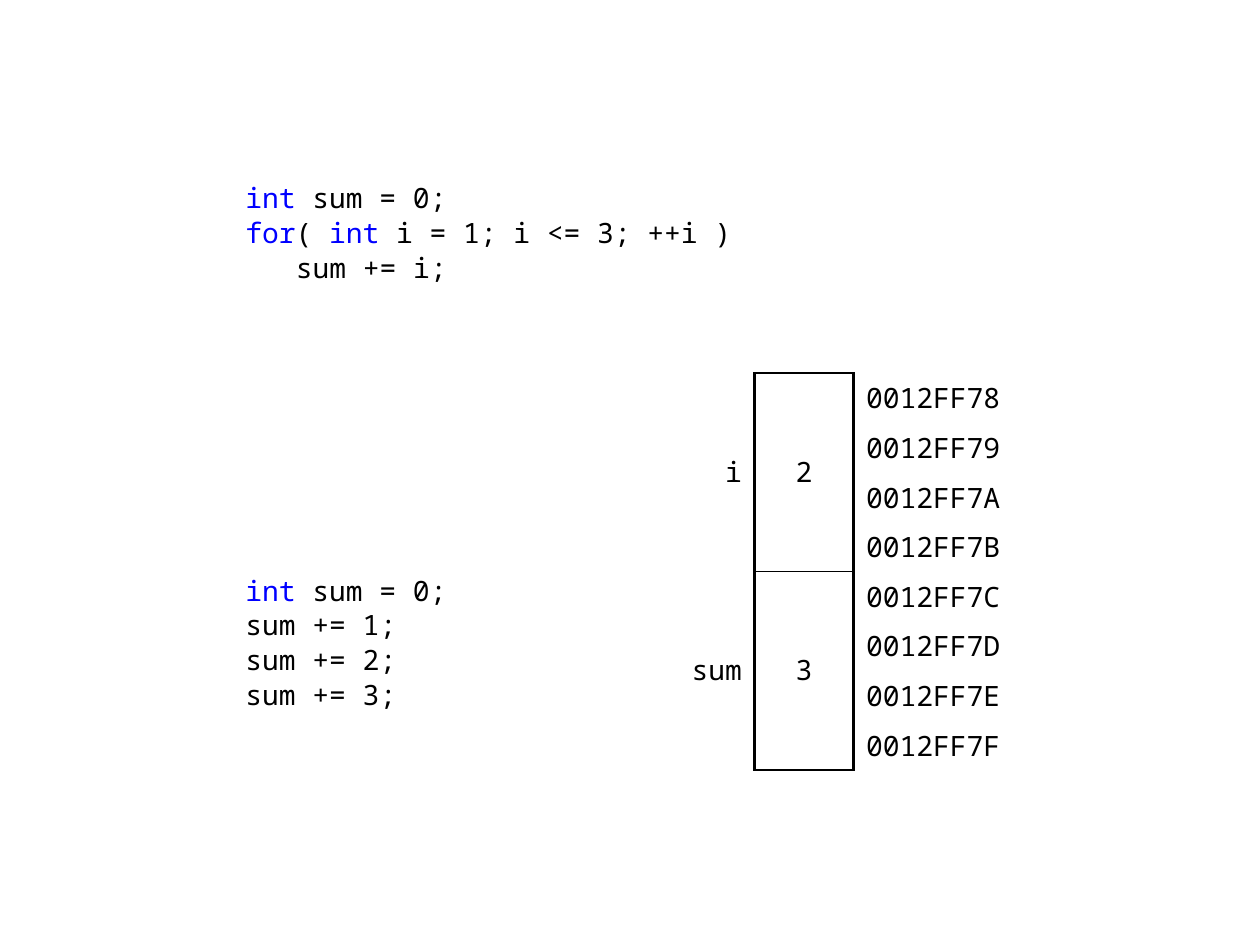
from pptx import Presentation
from pptx.dml.color import RGBColor
from pptx.enum.text import MSO_ANCHOR, PP_ALIGN
from pptx.oxml.ns import qn
from pptx.util import Inches, Pt
from lxml.etree import SubElement

BLACK = RGBColor(0x00, 0x00, 0x00)
BLUE = RGBColor(0x00, 0x00, 0xFF)
KEYWORDS = {"int", "for"}
THICK, THIN = 1.5, 1

LOOP = [(0, ["int", " sum = 0;"]),
        (0, ["for", "( ", "int", " i = 1; i <= 3; ++i )"]),
        (3, ["sum += i;"])]
UNROLLED = [(0, ["int", " sum = 0;"]),
            (0, ["sum += 1;"]), (0, ["sum += 2;"]), (0, ["sum += 3;"])]
VARIABLES = [("i", "2"), ("sum", "3")]
FIRST_ADDRESS = 0x0012FF78
BYTES_PER_INT = 4


class CodeSlide:
    font, size = "Noto Sans Mono", Pt(16)
    char_width = Pt(9.6)
    unit = Inches(0.39375)  # height of one memory byte

    def __init__(self, prs):
        self.width, self.height = prs.slide_width, prs.slide_height
        self.shapes = prs.slides.add_slide(prs.slide_layouts[6]).shapes

    def style(self, r, color=BLACK):
        r.font.name, r.font.size = self.font, self.size
        r.font.color.rgb = color

    def code(self, x, y, w, h, lines):
        """Add code at shares of the slide; each line is (indent in characters, parts)."""
        box = self.shapes.add_textbox(int(x * self.width), int(y * self.height),
                                      int(w * self.width), int(h * self.height))
        tf = box.text_frame
        tf.word_wrap = True
        for i, (indent, parts) in enumerate(lines):
            p = tf.add_paragraph() if i else tf.paragraphs[0]
            p.space_before = Pt(0.6 if i else 0)
            p._p.get_or_add_pPr().set("marL", str(indent * self.char_width))
            for part in parts:
                r = p.add_run()
                r.text = part
                self.style(r, BLUE if part in KEYWORDS else BLACK)

    def borders(self, cell, **widths):
        """Draw the sides named L, R, T, B at their point widths and hide the rest."""
        tc_pr = cell._tc.get_or_add_tcPr()
        for side in "LRTB":
            width = widths.get(side, 0)
            ln = SubElement(tc_pr, qn(f"a:ln{side}"), w=str(Pt(width)))
            if width:
                fill = SubElement(ln, qn("a:solidFill"))
                SubElement(fill, qn("a:srgbClr"), val=str(BLACK))
            else:
                SubElement(ln, qn("a:noFill"))
        cell.fill.background()

    def fill_cell(self, cell, text, align, top=0.0, bottom=0.02):
        cell.text_frame.text = text
        cell.vertical_anchor = MSO_ANCHOR.MIDDLE
        cell.margin_top, cell.margin_bottom = Inches(top), Inches(bottom)
        p = cell.text_frame.paragraphs[0]
        p.alignment = align
        self.style(p.runs[0])

    def memory(self, x, y, variables, columns=(2, 2, 3.5)):
        """Add the name, value and address columns, widths given in byte heights."""
        n = len(variables) * BYTES_PER_INT
        table = self.shapes.add_table(
            n, len(columns), int(x * self.width), int(y * self.height),
            int(sum(columns) * self.unit), n * self.unit).table
        table.first_row = table.horz_banding = False
        for col, units in zip(table.columns, columns):
            col.width = int(units * self.unit)

        for row in range(n):
            table.rows[row].height = self.unit
            name, value, address = (table.cell(row, c) for c in range(3))
            starts = row % BYTES_PER_INT == 0
            ends = (row + 1) % BYTES_PER_INT == 0
            self.borders(name, R=THICK)
            self.borders(value, L=THICK, R=THICK,
                         T=(THIN if row else THICK) if starts else 0,
                         B=(THIN if row < n - 1 else THICK) if ends else 0)
            self.borders(address, L=THICK)
            self.fill_cell(address, f"{FIRST_ADDRESS + row:08X}",
                           PP_ALIGN.LEFT, 0.04, 0.04)

        for i, texts in enumerate(variables):
            first = i * BYTES_PER_INT
            last = first + BYTES_PER_INT - 1
            for c, align in enumerate((PP_ALIGN.RIGHT, PP_ALIGN.CENTER)):
                cell = table.cell(first, c)
                cell.merge(table.cell(last, c))
                self.borders_of_merged(cell, table.cell(last, c))
                self.fill_cell(cell, texts[c], align)

    def borders_of_merged(self, cell, last):
        """Give a merged cell the bottom border of its last row."""
        tc_pr = cell._tc.tcPr
        bottom = last._tc.tcPr.find(qn("a:lnB"))
        old = tc_pr.find(qn("a:lnB"))
        old.set("w", bottom.get("w"))
        for child in list(old):
            old.remove(child)
        if bottom.find(qn("a:solidFill")) is not None:
            fill = SubElement(old, qn("a:solidFill"))
            SubElement(fill, qn("a:srgbClr"), val=str(BLACK))
        else:
            SubElement(old, qn("a:noFill"))


def main():
    prs = Presentation()
    prs.slide_width, prs.slide_height = Inches(10), Inches(7.5)
    s = CodeSlide(prs)
    s.code(0.185, 0.185, 0.41, 0.15, LOOP)
    s.code(0.185, 0.6, 0.41, 0.19, UNROLLED)
    s.memory(0.52, 0.395, VARIABLES)
    prs.save("out.pptx")


if __name__ == "__main__":
    main()
